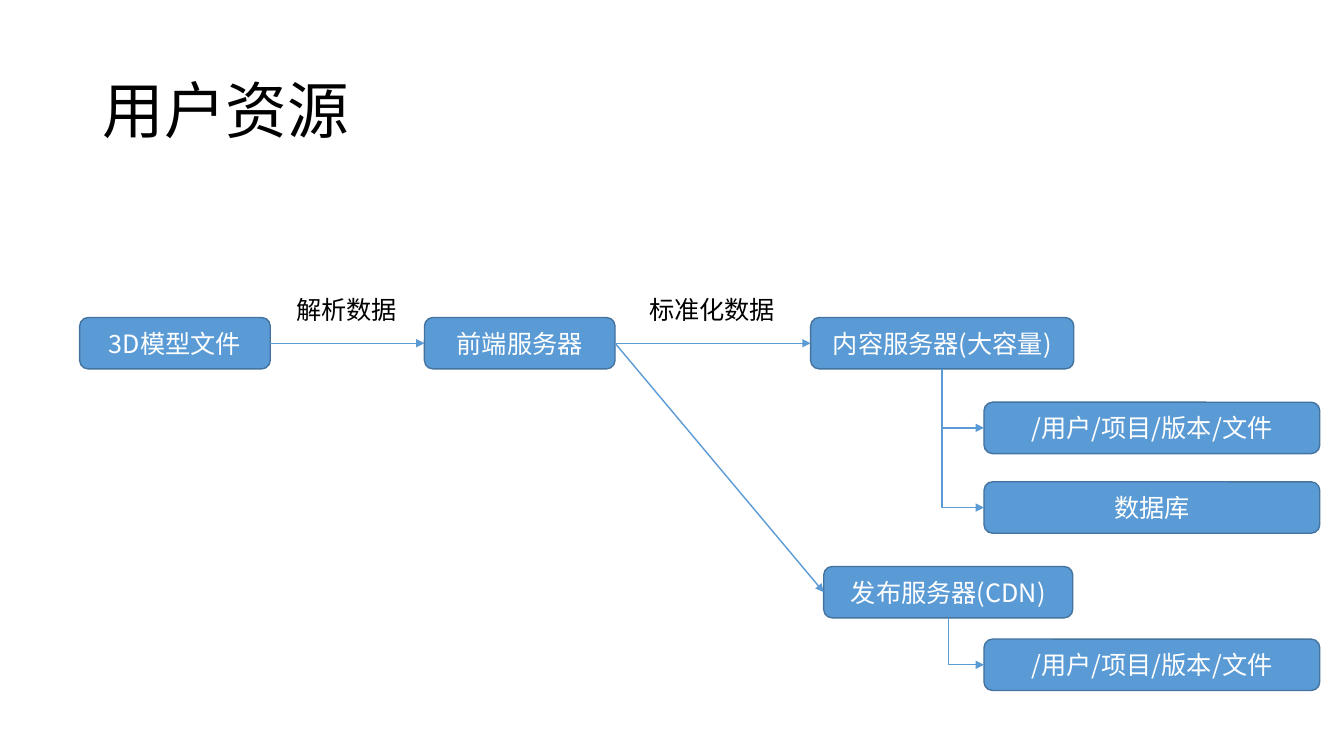
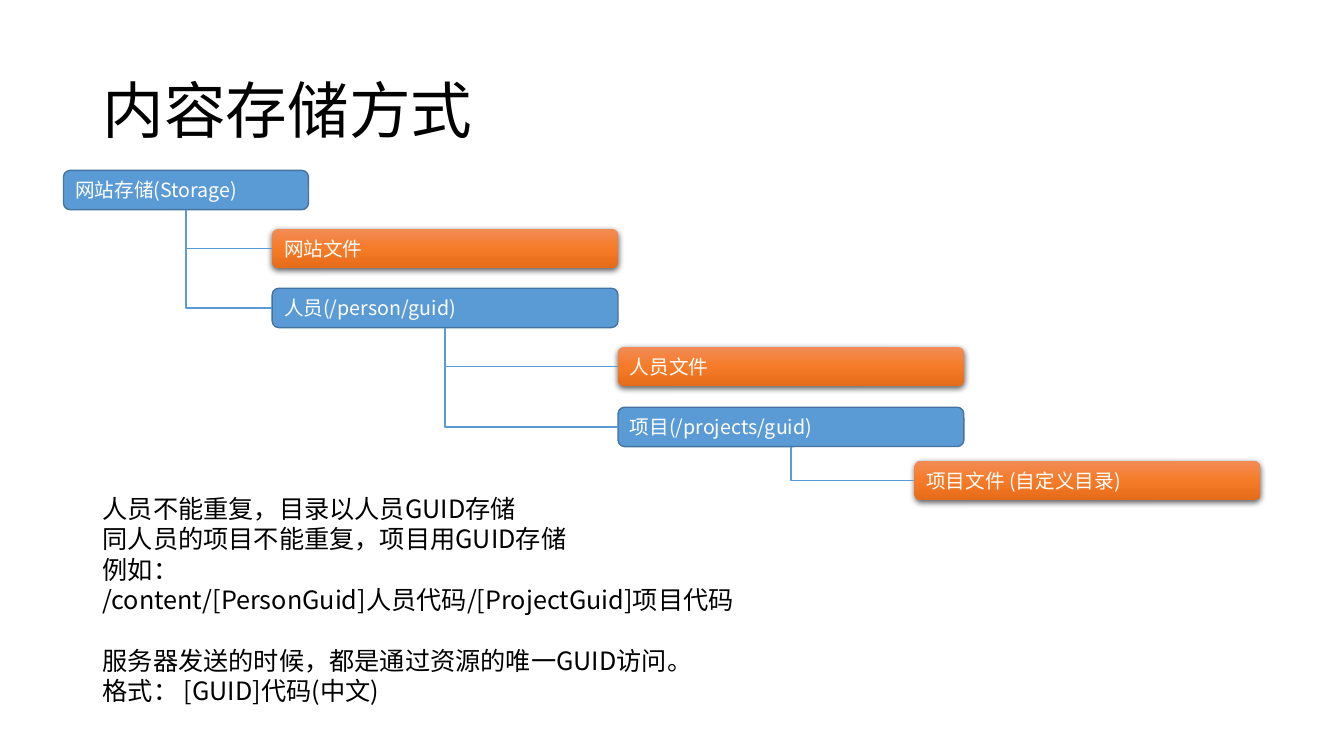
from lxml import etree
from pptx import Presentation
from pptx.dml.color import RGBColor
from pptx.enum.shapes import MSO_CONNECTOR, MSO_SHAPE
from pptx.enum.text import MSO_ANCHOR, PP_ALIGN
from pptx.oxml import parse_xml
from pptx.oxml.ns import nsdecls, qn
from pptx.util import Inches, Pt

FONT = "Noto Sans CJK SC"
BLACK = RGBColor(0x00, 0x00, 0x00)
WHITE = RGBColor(0xFF, 0xFF, 0xFF)
BLUE = RGBColor(0x5B, 0x9B, 0xD5)
BLUE_EDGE = RGBColor(0x43, 0x73, 0x9E)
ORANGE_STOPS = [(0, RGBColor(0xF1, 0x8C, 0x57)),
                (50, RGBColor(0xF6, 0x7B, 0x28)),
                (100, RGBColor(0xE5, 0x6C, 0x19))]
BODY_LINE = Pt(21.7)
TOP, LEFT, BOTTOM, RIGHT = range(4)  # connection sites of a box


# Text
def write(paragraph, text, size, color):
    run = paragraph.add_run()
    run.text = text
    run.font.size = Pt(size)
    run.font.color.rgb = color
    run.font.name = FONT
    etree.SubElement(run.font._element, qn("a:ea")).set("typeface", FONT)


def add_text(slide, x, y, w, h, lines, wrap=True):
    frame = slide.shapes.add_textbox(
        Inches(x), Inches(y), Inches(w), Inches(h)).text_frame
    frame.word_wrap = wrap
    for i, line in enumerate(lines):
        paragraph = frame.add_paragraph() if i else frame.paragraphs[0]
        paragraph.line_spacing = BODY_LINE
        write(paragraph, line, 18, BLACK)
    return frame


def add_title_slide(prs, title):
    slide = prs.slides.add_slide(prs.slide_layouts[6])
    frame = slide.shapes.add_textbox(
        Inches(0.92), Inches(0.4), Inches(11.5), Inches(1.45)).text_frame
    frame.word_wrap = True
    frame.vertical_anchor = MSO_ANCHOR.MIDDLE
    frame.paragraphs[0].line_spacing = 0.9
    write(frame.paragraphs[0], title, 44, BLACK)
    return slide


# Boxes
def add_box(slide, x, y, w, h, text, size, align):
    box = slide.shapes.add_shape(
        MSO_SHAPE.ROUNDED_RECTANGLE, Inches(x), Inches(y), Inches(w), Inches(h))
    box.shadow.inherit = False
    box.fill.solid()
    box.fill.fore_color.rgb = BLUE
    box.line.color.rgb = BLUE_EDGE
    box.line.width = Pt(1)
    frame = box.text_frame
    frame.word_wrap = True
    frame.vertical_anchor = MSO_ANCHOR.MIDDLE
    frame.paragraphs[0].alignment = align
    write(frame.paragraphs[0], text, size, WHITE)
    return box


def add_server(slide, x, y, w, text):
    return add_box(slide, x, y, w, 0.51, text, 18, PP_ALIGN.CENTER)


def add_folder(slide, x, y, text, w=3.43):
    return add_box(slide, x, y, w, 0.39, text, 14, PP_ALIGN.LEFT)


def add_file(slide, x, y, text):
    box = add_folder(slide, x, y, text)
    box.line.fill.background()
    box.fill.gradient()
    box.fill.gradient_angle = 270
    properties = box._element.spPr
    stops = properties.find(".//" + qn("a:gsLst"))
    for stop in list(stops):
        stops.remove(stop)
    for percent, color in ORANGE_STOPS:
        stop = etree.SubElement(stops, qn("a:gs"), pos=str(percent * 1000))
        etree.SubElement(stop, qn("a:srgbClr"), val=str(color))
    properties.find(qn("a:effectLst")).append(parse_xml(
        f'<a:outerShdw {nsdecls("a")} blurRad="57150" dist="19050" '
        'dir="5400000" algn="ctr" rotWithShape="0"><a:srgbClr val="000000">'
        '<a:alpha val="63000"/></a:srgbClr></a:outerShdw>'))
    return box


# Connectors
def add_link(slide, kind, start, start_site, end, end_site, arrow):
    link = slide.shapes.add_connector(kind, 0, 0, 0, 0)
    link.begin_connect(start, start_site)
    link.end_connect(end, end_site)
    link.line.color.rgb = BLUE
    link.line.width = Pt(1)
    if arrow:
        etree.SubElement(link.line._get_or_add_ln(), qn("a:tailEnd"),
                         type="triangle")
    etree.SubElement(link._element.spPr, qn("a:effectLst"))
    return link


def add_arrow(slide, start, end):
    add_link(slide, MSO_CONNECTOR.STRAIGHT, start, RIGHT, end, LEFT, True)


def add_branch(slide, parent, child, arrow=False):
    """Run down from the parent's middle, then right to the child."""
    link = add_link(slide, MSO_CONNECTOR.ELBOW, parent, BOTTOM, child, LEFT, arrow)
    x, y = parent.left + parent.width // 2, parent.top + parent.height
    across = child.left - x
    down = child.top + child.height // 2 - y
    # The one-bend preset starts sideways, so its frame is turned and flipped
    link.left, link.top = x + (across - down) // 2, y + (down - across) // 2
    link.width, link.height = down, across
    properties = link._element.spPr
    properties.find(qn("a:prstGeom")).set("prst", "bentConnector2")
    frame = properties.find(qn("a:xfrm"))
    frame.attrib.pop("flipV", None)
    frame.set("rot", "16200000")
    frame.set("flipH", "1")


# Slides
def build_resources(prs):
    slide = add_title_slide(prs, "用户资源")
    path = "/用户/项目/版本/文件"
    model = add_server(slide, 0.79, 3.15, 1.89, "3D模型文件")
    front = add_server(slide, 4.21, 3.15, 1.89, "前端服务器")
    content = add_server(slide, 8.04, 3.15, 2.61, "内容服务器(大容量)")
    publish = add_server(slide, 8.17, 5.62, 2.47, "发布服务器(CDN)")
    for start, end in [(model, front), (front, content), (front, publish)]:
        add_arrow(slide, start, end)
    for parent, y, text in [(content, 3.99, path), (content, 4.78, "数据库"),
                            (publish, 6.34, path)]:
        add_branch(slide, parent, add_server(slide, 9.76, y, 3.33, text), True)
    add_text(slide, 2.84, 2.87, 1.21, 0.4, ["解析数据"], wrap=False)
    add_text(slide, 6.34, 2.87, 1.46, 0.4, ["标准化数据"], wrap=False)


def build_storage(prs):
    slide = add_title_slide(prs, "内容存储方式")
    storage = add_folder(slide, 0.63, 1.69, "网站存储(Storage)", w=2.43)
    person = add_folder(slide, 2.7, 2.86, "人员(/person/guid)")
    project = add_folder(slide, 6.13, 4.04, "项目(/projects/guid)")
    site_files = add_file(slide, 2.7, 2.27, "网站文件")
    person_files = add_file(slide, 6.13, 3.44, "人员文件")
    project_files = add_file(slide, 9.07, 4.57, "项目文件 (自定义目录)")
    for parent, child in [(storage, site_files), (storage, person),
                          (person, person_files), (person, project),
                          (project, project_files)]:
        add_branch(slide, parent, child)
    notes = add_text(slide, 0.92, 4.84, 8.3, 2.22, [
        "人员不能重复，目录以人员GUID存储",
        "同人员的项目不能重复，项目用GUID存储",
        "例如：",
        "/content/[PersonGuid]人员代码/[ProjectGuid]项目代码",
        "服务器发送的时候，都是通过资源的唯一GUID访问。",
        "格式： [GUID]代码(中文)"])
    notes.paragraphs[4].space_before = BODY_LINE


def main():
    prs = Presentation()
    prs.slide_width, prs.slide_height = Inches(13.33), Inches(7.5)
    build_resources(prs)
    build_storage(prs)
    prs.save("out.pptx")


main()
